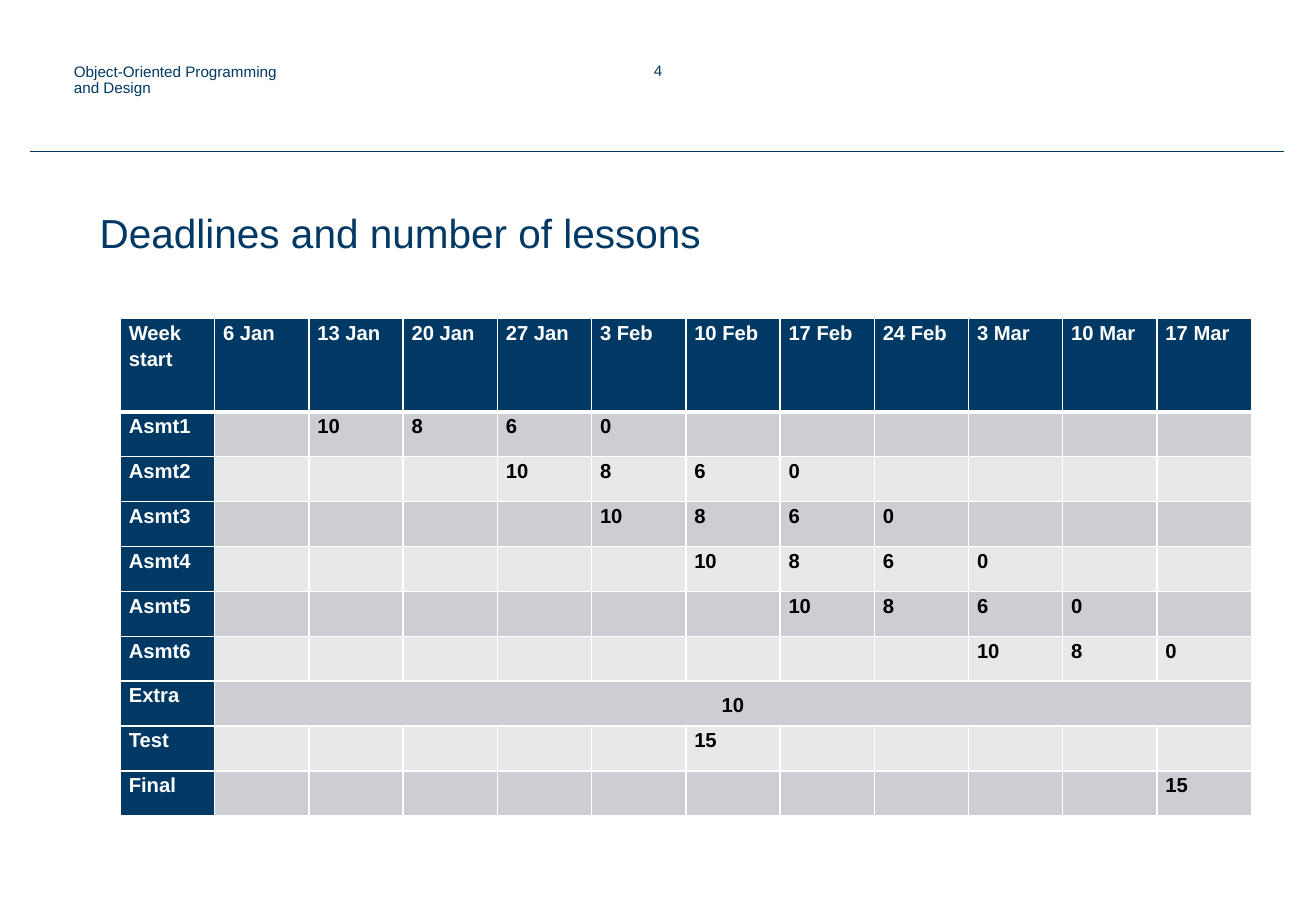
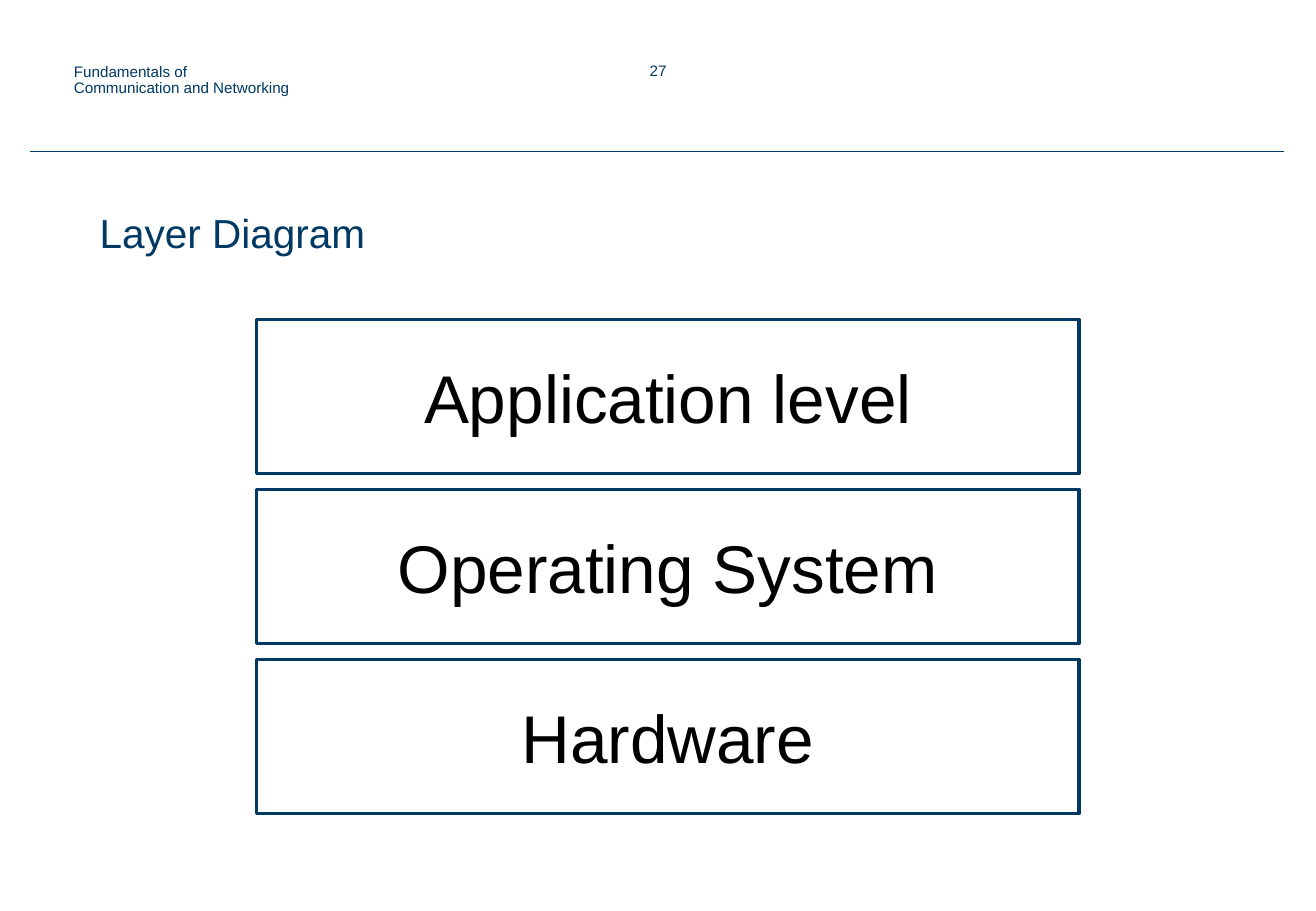
from lxml.etree import SubElement
from pptx import Presentation
from pptx.dml.color import RGBColor
from pptx.enum.shapes import MSO_CONNECTOR, MSO_SHAPE
from pptx.enum.text import MSO_ANCHOR, PP_ALIGN
from pptx.oxml.ns import qn
from pptx.util import Inches, Pt

COLOURS = {
    "navy": "003964",
    "white": "FFFFFF",
    "black": "000000",
    "dark band": "CCCED3",
    "light band": "E7E8EA",
}
WEEKS = ["6 Jan", "13 Jan", "20 Jan", "27 Jan", "3 Feb", "10 Feb",
         "17 Feb", "24 Feb", "3 Mar", "10 Mar", "17 Mar"]
MARKS = [
    ("Asmt1", "13 Jan", [10, 8, 6, 0]),
    ("Asmt2", "27 Jan", [10, 8, 6, 0]),
    ("Asmt3", "3 Feb", [10, 8, 6, 0]),
    ("Asmt4", "10 Feb", [10, 8, 6, 0]),
    ("Asmt5", "17 Feb", [10, 8, 6, 0]),
    ("Asmt6", "3 Mar", [10, 8, 0]),
    ("Extra", "6 Jan", [10]),
    ("Test", "10 Feb", [15]),
    ("Final", "17 Mar", [15]),
]
LAYERS = ["Application level", "Operating System", "Hardware"]


def colour(name):
    return RGBColor.from_string(COLOURS[name])


def set_format(target, values):
    for name, value in values.items():
        setattr(target, name, value)


class Course:
    font = "Arial"
    cell_margins = {"margin_left": Inches(0.07), "margin_right": Inches(0.07),
                    "margin_top": 0, "margin_bottom": 0}

    def __init__(self):
        self.deck = Presentation()
        set_format(self.deck, {"slide_width": Inches(10.83), "slide_height": Inches(7.5)})
        self.page = None

    def add_page(self, course, number, title):
        self.page = self.deck.slides.add_slide(self.deck.slide_layouts[6])
        self.rule(0.25, 1.25, 10.57)
        self.label(number, 4.49, 0.46, 1.85, 0.4, 9, {"alignment": PP_ALIGN.CENTER})
        self.label(course, 0.51, 0.48, 2.01, 0.4, 9, {"line_spacing": 0.9})
        box = self.label(title, 0.47, 1.71, 5.5, 0.6, 24, {"line_spacing": 0.9})
        box.text_frame.margin_left = Inches(0.35)

    def add_text(self, frame, text, size, tint, layout, bold=False):
        para = frame.paragraphs[0]
        set_format(para, layout)
        span = para.add_run()
        span.text = text
        set_format(span.font, {"name": self.font, "size": Pt(size), "bold": bold})
        span.font.color.rgb = colour(tint)

    def label(self, text, left, top, width, height, size, layout):
        box = self.page.shapes.add_textbox(*map(Inches, (left, top, width, height)))
        box.text_frame.word_wrap = True
        self.add_text(box.text_frame, text, size, "navy", layout)
        return box

    def rule(self, left, top, right):
        line = self.page.shapes.add_connector(
            MSO_CONNECTOR.STRAIGHT, *map(Inches, (left, top, right, top)))
        line.line.color.rgb = colour("navy")
        line.line.width = Pt(0.75)
        SubElement(line._element.spPr, qn("a:effectLst"))

    def layer(self, text, left, top, width, height):
        box = self.page.shapes.add_shape(
            MSO_SHAPE.RECTANGLE, *map(Inches, (left, top, width, height)))
        box.shadow.inherit = False
        box.fill.solid()
        box.fill.fore_color.rgb = colour("white")
        box.line.color.rgb = colour("navy")
        box.line.width = Pt(2)
        set_format(box.text_frame, {"word_wrap": True, "vertical_anchor": MSO_ANCHOR.MIDDLE})
        self.add_text(box.text_frame, text, 40, "black", {"alignment": PP_ALIGN.CENTER})

    def border(self, cell, top, bottom):
        properties = cell._tc.get_or_add_tcPr()
        for side, width in (("L", 1), ("R", 1), ("T", top), ("B", bottom)):
            line = SubElement(properties, qn(f"a:ln{side}"), w=str(Pt(width)))
            fill = SubElement(line, qn("a:solidFill"))
            SubElement(fill, qn("a:srgbClr"), val=COLOURS["white"])

    def schedule(self, rows, left, top, width, heights):
        columns = len(rows[0])
        frame = self.page.shapes.add_table(
            len(rows), columns, *map(Inches, (left, top, width, sum(heights))))
        table = frame.table
        table.horz_banding = False
        for column in table.columns:
            column.width = Inches(width / columns)
        for row, texts in enumerate(rows):
            table.rows[row].height = Inches(heights[row])
            band = "dark band" if row % 2 else "light band"
            for column, text in enumerate(texts):
                cell = table.cell(row, column)
                heading = row == 0 or column == 0
                set_format(cell, self.cell_margins)
                self.border(cell, 3 if row == 1 else 1, 3 if row == 0 else 1)
                cell.fill.solid()
                cell.fill.fore_color.rgb = colour("navy" if heading else band)
                if text:
                    self.add_text(cell.text_frame, text, 12,
                                  "white" if heading else "black",
                                  {"line_spacing": 1.15}, bold=True)
        return table


def mark_row(name, first_week, marks):
    row = [name] + [""] * len(WEEKS)
    start = WEEKS.index(first_week) + 1
    row[start:start + len(marks)] = map(str, marks)
    return row


def main():
    course = Course()

    course.add_page("Object-Oriented Programming and Design", "4",
                    "Deadlines and number of lessons")
    rows = [["Week start"] + WEEKS] + [mark_row(*entry) for entry in MARKS]
    heights = [0.77] + [0.37] * len(MARKS)
    table = course.schedule(rows, 0.99, 2.62, 9.31, heights)
    extra = [row[0] for row in rows].index("Extra")
    cell = table.cell(extra, 1)
    cell.merge(table.cell(extra, len(WEEKS)))
    cell.vertical_anchor = MSO_ANCHOR.MIDDLE
    cell.text_frame.paragraphs[0].alignment = PP_ALIGN.CENTER

    course.add_page("Fundamentals of Communication and Networking", "27", "Layer Diagram")
    for position, name in enumerate(LAYERS):
        course.layer(name, 2.11, 2.63 + 1.4 * position, 6.77, 1.27)

    course.deck.save("out.pptx")


if __name__ == "__main__":
    main()
